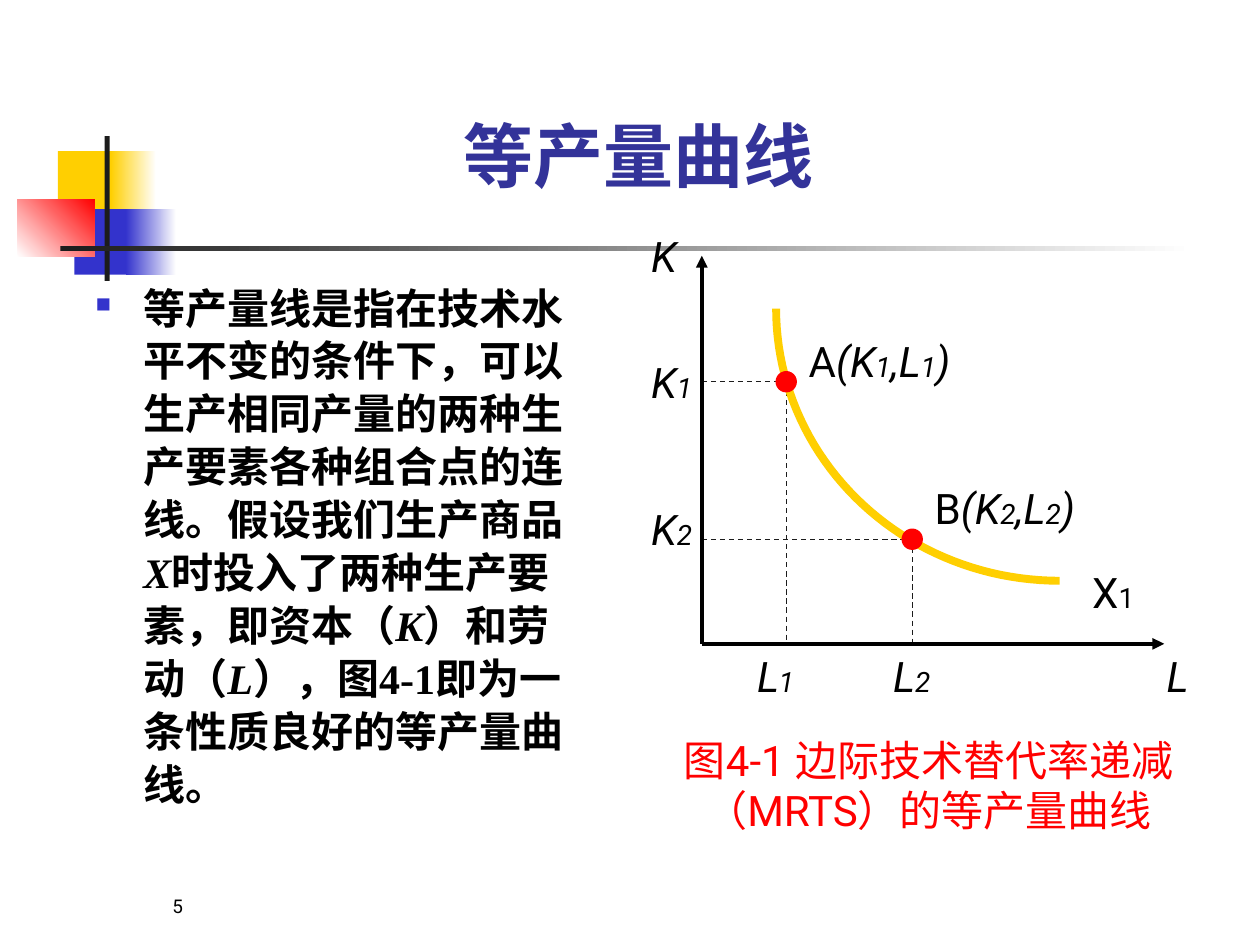
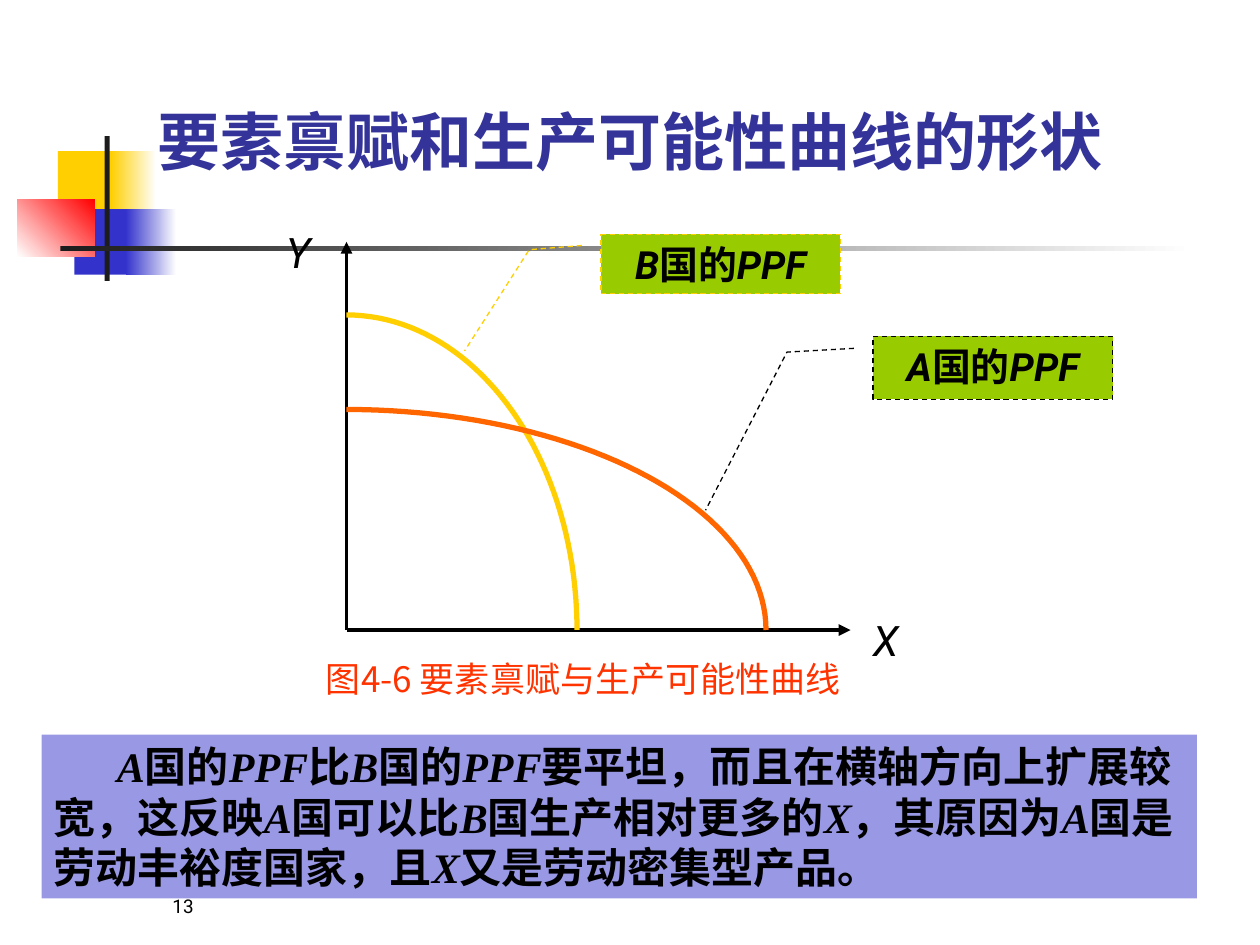
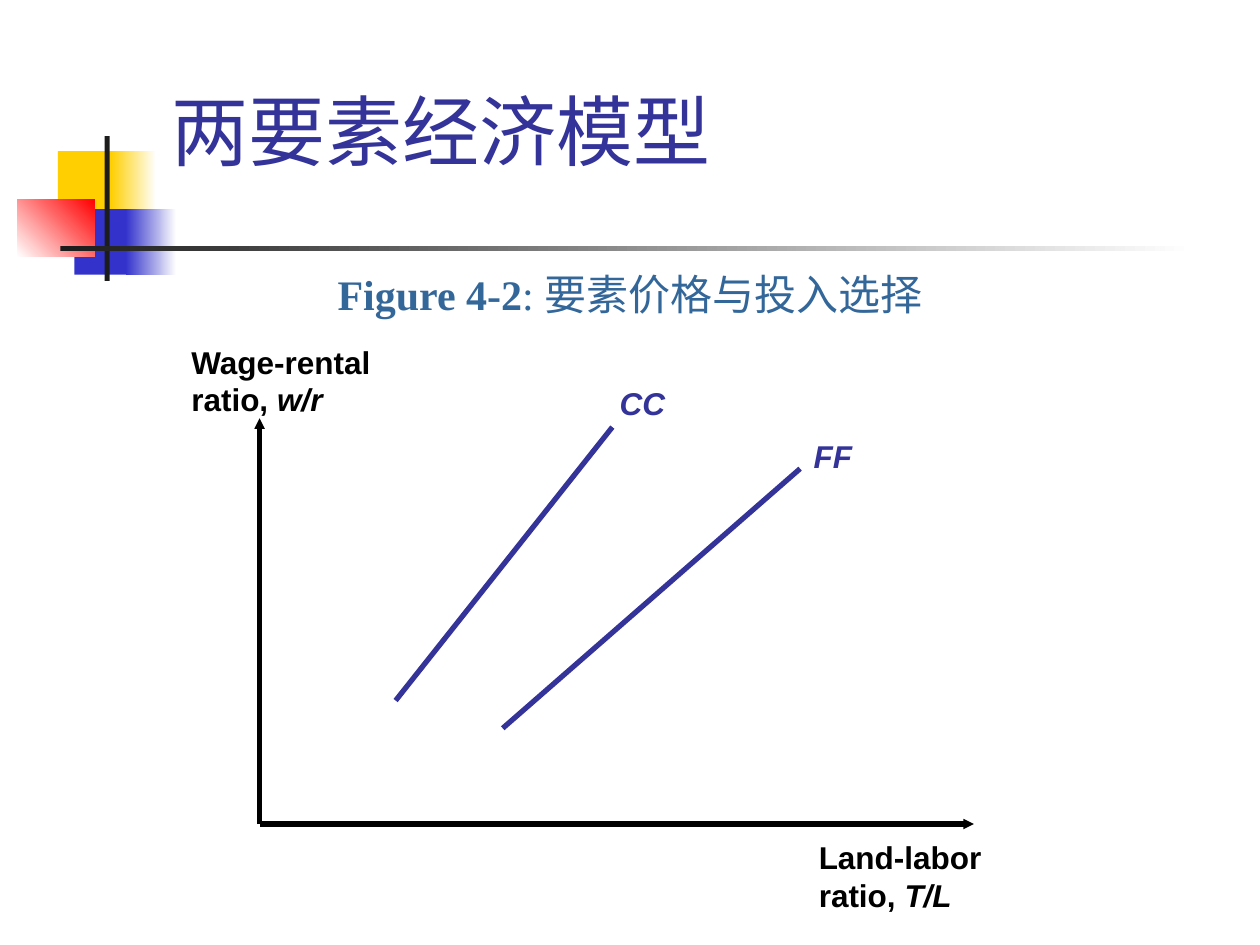
from dataclasses import dataclass, replace
from itertools import groupby
from math import cos, radians, sin

from lxml import etree
from pptx import Presentation
from pptx import util as u
from pptx.dml.color import RGBColor
from pptx.enum import dml, shapes, text
from pptx.oxml import ns

COLORS = {
    "black": "000000", "white": "FFFFFF", "ink": "1C1C1C", "yellow": "FFCF01",
    "blue": "3333CC", "navy": "333399", "red": "FF0000", "orange": "FF6600",
    "caption": "FF3300", "green": "99CC00", "steel": "336699",
}
COLUMNS, ROWS = 10, 7.5
CELL = u.Inches(1)
EAST_ASIAN = "Noto Sans CJK SC"
ALIGN = text.PP_ALIGN
ANCHOR = text.MSO_ANCHOR


@dataclass(frozen=True)
class Style:
    size: float = 24
    font: str = "Roboto"
    color: str = "black"
    bold: bool = False
    italic: bool = False


PLAIN = Style()
SYMBOL = Style(italic=True)
SUBSCRIPT = Style(size=16, italic=True)
TITLE = Style(size=40, color="navy", bold=True)
PROSE = Style(font="Times New Roman", bold=True)
CALLOUT = Style(size=22.2, bold=True)
AXIS_NAME = Style(size=18, font="Arial", bold=True)
LINE_NAME = replace(AXIS_NAME, color="navy", italic=True)


def grid(*cells):
    return [round(cell * CELL) for cell in cells]


def rgb(name):
    return RGBColor.from_string(COLORS[name])


def add_xml(parent, tag, **attributes):
    return etree.SubElement(parent, ns.qn(tag), attributes)


def add_span(para, words, style):
    span = para.add_run()
    span.text = words
    font = span.font
    font.size, font.name = u.Pt(style.size), style.font
    font.bold, font.italic = style.bold, style.italic
    font.color.rgb = rgb(style.color)
    add_xml(span._r.get_or_add_rPr(), "a:ea", typeface=EAST_ASIAN)


def fill_frame(frame, paragraphs, align=ALIGN.LEFT, anchor=ANCHOR.TOP):
    frame.word_wrap = True
    frame.vertical_anchor = anchor
    for index, spans in enumerate(paragraphs):
        para = frame.add_paragraph() if index else frame.paragraphs[0]
        para.alignment = align
        for words, style in spans:
            add_span(para, words, style)


def add_text(page, at, *paragraphs, **layout):
    box = page.shapes.add_textbox(*grid(*at))
    fill_frame(box.text_frame, paragraphs, **layout)
    return box


def with_variables(words, style):
    runs = groupby(words, key=lambda letter: "A" <= letter <= "Z")
    return [("".join(run), replace(style, italic=variable)) for variable, run in runs]


def subscripted(letter, index):
    return [(letter, SYMBOL), (index, SUBSCRIPT)]


def add_label(page, left, top, spans, width=0.58):
    add_text(page, (left, top, width, 0.5), spans)


def add_shape(page, kind, at, color):
    shape = page.shapes.add_shape(kind, *grid(*at))
    shape.shadow.inherit = False
    shape.line.fill.background()
    shape.fill.solid()
    shape.fill.fore_color.rgb = rgb(color)
    return shape


def add_fade(page, at, start, end, angle=0):
    shape = add_shape(page, shapes.MSO_SHAPE.RECTANGLE, at, start)
    shape.fill.gradient()
    shape.fill.gradient_angle = angle
    for stop, color in zip(shape.fill.gradient_stops, (start, end)):
        stop.color.rgb = rgb(color)


def set_line(line, color, width, dashed=False):
    line.color.rgb = rgb(color)
    line.width = u.Pt(width)
    if dashed:
        line.dash_style = dml.MSO_LINE.DASH


def add_line(page, start, end, color, width, dashed=False, arrow=None):
    line = page.shapes.add_connector(
        shapes.MSO_CONNECTOR.STRAIGHT, *grid(*start), *grid(*end))
    set_line(line.line, color, width, dashed)
    if arrow:
        add_xml(line.line._get_or_add_ln(), "a:tailEnd", type="triangle", w=arrow, len=arrow)
    add_xml(line._element.spPr, "a:effectLst")


def add_axes(page, origin, top, right, width=2.25, arrow="med"):
    x, y = origin
    for tip in ((x, top), (right, y)):
        add_line(page, origin, tip, "black", width, arrow=arrow)


def add_quarter(page, center, radii, first_angle, color, width, steps=45):
    angles = [radians(first_angle + 90 * step / steps) for step in range(steps + 1)]
    points = [grid(center[0] + radii[0] * cos(angle), center[1] + radii[1] * sin(angle))
              for angle in angles]
    builder = page.shapes.build_freeform(*points[0])
    builder.add_line_segments(points[1:], close=False)
    curve = builder.convert_to_shape()
    curve.shadow.inherit = False
    curve.fill.background()
    set_line(curve.line, color, width)


def add_point(page, x, y, size=0.17):
    add_shape(page, shapes.MSO_SHAPE.OVAL, (x - size / 2, y - size / 2, size, size), "red")


def add_callout(page, at, words, color, bends):
    shape = add_shape(page, shapes.MSO_SHAPE.LINE_CALLOUT_2, at, "green")
    for index, bend in enumerate(bends):
        shape.adjustments[index] = bend
    set_line(shape.line, color, 0.75, dashed=True)
    fill_frame(shape.text_frame, [with_variables(words, CALLOUT)], ALIGN.CENTER)


def add_title(page, at, words, style=TITLE, align=ALIGN.CENTER, anchor=ANCHOR.BOTTOM):
    add_text(page, at, [(words, style)], align=align, anchor=anchor)


def add_page(deck, number=None):
    page = deck.slides.add_slide(deck.slide_layouts[6])
    rectangle = shapes.MSO_SHAPE.RECTANGLE
    add_shape(page, rectangle, (0.46, 1.2, 0.48, 0.52), "yellow")
    add_fade(page, (0.88, 1.2, 0.36, 0.52), "yellow", "white")
    add_shape(page, rectangle, (0.59, 1.66, 0.46, 0.52), "blue")
    add_fade(page, (1, 1.66, 0.4, 0.52), "blue", "white")
    add_fade(page, (0.14, 1.58, 0.61, 0.46), "white", "red", angle=45)
    add_shape(page, rectangle, (0.83, 1.08, 0.04, 1.15), "ink")
    add_fade(page, (0.48, 1.95, 9, 0.04), "ink", "white")
    if number:
        add_text(page, (1.27, 6.83, 2.08, 0.5),
                 [(number, Style(size=10.8))], anchor=ANCHOR.BOTTOM)
    return page


def add_definition(page):
    words = ("等产量线是指在技术水平不变的条件下，可以生产相同产量的两种生产要素各种组合点的连线。"
             "假设我们生产商品X时投入了两种生产要素，即资本（K）和劳动（L），"
             "图4-1即为一条性质良好的等产量曲线。")
    box = add_text(page, (0.66, 2.17, 4.08, 4.53), with_variables(words, PROSE))
    para = box.text_frame.paragraphs[0]
    indent = grid(0.38)[0]
    properties = para._p.get_or_add_pPr()
    properties.set("marL", str(indent))
    properties.set("indent", str(-indent))
    add_xml(add_xml(properties, "a:buClr"), "a:srgbClr", val=COLORS["blue"])
    add_xml(properties, "a:buSzPct", val="50000")
    add_xml(properties, "a:buChar", char="■")
    para.line_spacing = 1.05


def build_isoquant(deck):
    page = add_page(deck, "5")
    origin_x, origin_y = origin = (5.57, 5.11)
    points = (("A", "1", 6.24, 3.03, 2.61), ("B", "2", 7.24, 4.28, 3.78))
    for name, index, x, y, label_top in points:
        add_line(page, (origin_x, y), (x, y), "ink", 0.75, dashed=True)
        add_line(page, (x, y), (x, origin_y), "ink", 0.75, dashed=True)
    add_title(page, (0.82, 0.36, 8.5, 1.25), "等产量曲线")
    add_definition(page)
    add_axes(page, origin, 2.03, 9.24)
    add_quarter(page, (8.41, 2.45), (2.25, 2.16), 90, "yellow", 4.5)
    for name, index, x, y, label_top in points:
        add_point(page, x, y)
        pair = [(name, PLAIN), ("(K", SYMBOL), (index, SUBSCRIPT),
                (",L", SYMBOL), (index, SUBSCRIPT), (")", SYMBOL)]
        add_label(page, x + 0.08, label_top, pair, width=1.58)
    add_label(page, 8.57, 4.45, [("X", PLAIN), ("1", replace(PLAIN, size=16))], width=0.75)
    add_label(page, 5.07, 1.78, [("K", SYMBOL)])
    add_label(page, 9.16, origin_y, [("L", SYMBOL)])
    for index, k_top, l_left in (("1", 2.78, 5.91), ("2", 3.95, 6.99)):
        add_label(page, 5.07, k_top, subscripted("K", index))
        add_label(page, l_left, origin_y, subscripted("L", index))
    add_text(page, (5.16, 5.78, 4.42, 0.9),
             [("图4-1 边际技术替代率递减（MRTS）的等产量曲线", replace(PLAIN, color="red"))],
             align=ALIGN.CENTER)


def add_conclusion(page):
    words = ("A国的PPF比B国的PPF要平坦，而且在横轴方向上扩展较宽，"
             "这反映A国可以比B国生产相对更多的X，其原因为A国是劳动丰裕度国家，"
             "且X又是劳动密集型产品。")
    panel = add_shape(page, shapes.MSO_SHAPE.RECTANGLE, (0.33, 5.83, 9.17, 1.3), "blue")
    color = panel._element.spPr.find(".//" + ns.qn("a:srgbClr"))
    add_xml(color, "a:alpha", val="50000")
    fill_frame(panel.text_frame, [with_variables(words, PROSE)])
    properties = panel.text_frame.paragraphs[0]._p.get_or_add_pPr()
    properties.set("indent", str(grid(0.5)[0]))


def build_frontiers(deck):
    page = add_page(deck, "13")
    origin = (2.75, 5)
    add_title(page, (0.75, 0.21, 8.5, 1.25), "要素禀赋和生产可能性曲线的形状",
              replace(TITLE, size=36))
    add_axes(page, origin, 1.92, 6.75)
    add_quarter(page, origin, (1.83, 2.5), -90, "yellow", 3)
    add_quarter(page, origin, (3.33, 1.75), -90, "orange", 3)
    add_callout(page, (4.77, 1.86, 1.9, 0.47), "B国的PPF", "yellow",
                (0.19, -0.08, 0.26, -0.3, 1.97, -0.57))
    add_callout(page, (6.93, 2.67, 1.9, 0.5), "A国的PPF", "black",
                (0.19, -0.08, 0.25, -0.36, 2.76, -0.7))
    add_label(page, 2.17, 1.75, [("Y", SYMBOL)])
    add_label(page, 6.83, 4.83, [("X", SYMBOL)])
    add_conclusion(page)
    add_text(page, (1.92, 5.17, 5.42, 0.44),
             [("图4-6 要素禀赋与生产可能性曲线", Style(20, EAST_ASIAN, "caption"))],
             align=ALIGN.CENTER)


def build_factor_prices(deck):
    page = add_page(deck)
    curves = (("CC", (3.14, 5.56), (4.86, 3.39), (4.82, 3)),
              ("FF", (3.99, 5.78), (6.35, 3.72), (6.36, 3.42)))
    for name, start, end, corner in curves:
        add_line(page, start, end, "navy", 3)
        add_text(page, (*corner, 0.7, 0.4), [(name, LINE_NAME)])
    axis_names = (("Wage-rental", "w/r", (1.42, 2.67)),
                  ("Land-labor", "T/L", (6.4, 6.6)))
    for name, ratio, corner in axis_names:
        add_text(page, (*corner, 1.8, 0.7), [(name, AXIS_NAME)],
                 [("ratio, ", AXIS_NAME), (ratio, replace(AXIS_NAME, italic=True))])
    add_axes(page, (2.06, 6.54), 3.32, 7.73, width=3, arrow="sm")
    add_title(page, (1.26, 0.23, 8.52, 1.6), "两要素经济模型",
              replace(TITLE, size=44, bold=False), ALIGN.LEFT, ANCHOR.MIDDLE)
    heading = replace(PROSE, color="steel")
    add_text(page, (0, 1.33, COLUMNS, 1.25),
             [("Figure 4-2", heading), (": 要素价格与投入选择", replace(heading, bold=False))],
             align=ALIGN.CENTER, anchor=ANCHOR.BOTTOM)


def main():
    deck = Presentation()
    deck.slide_width, deck.slide_height = grid(COLUMNS, ROWS)
    build_isoquant(deck)
    build_frontiers(deck)
    build_factor_prices(deck)
    deck.save("out.pptx")


if __name__ == "__main__":
    main()
